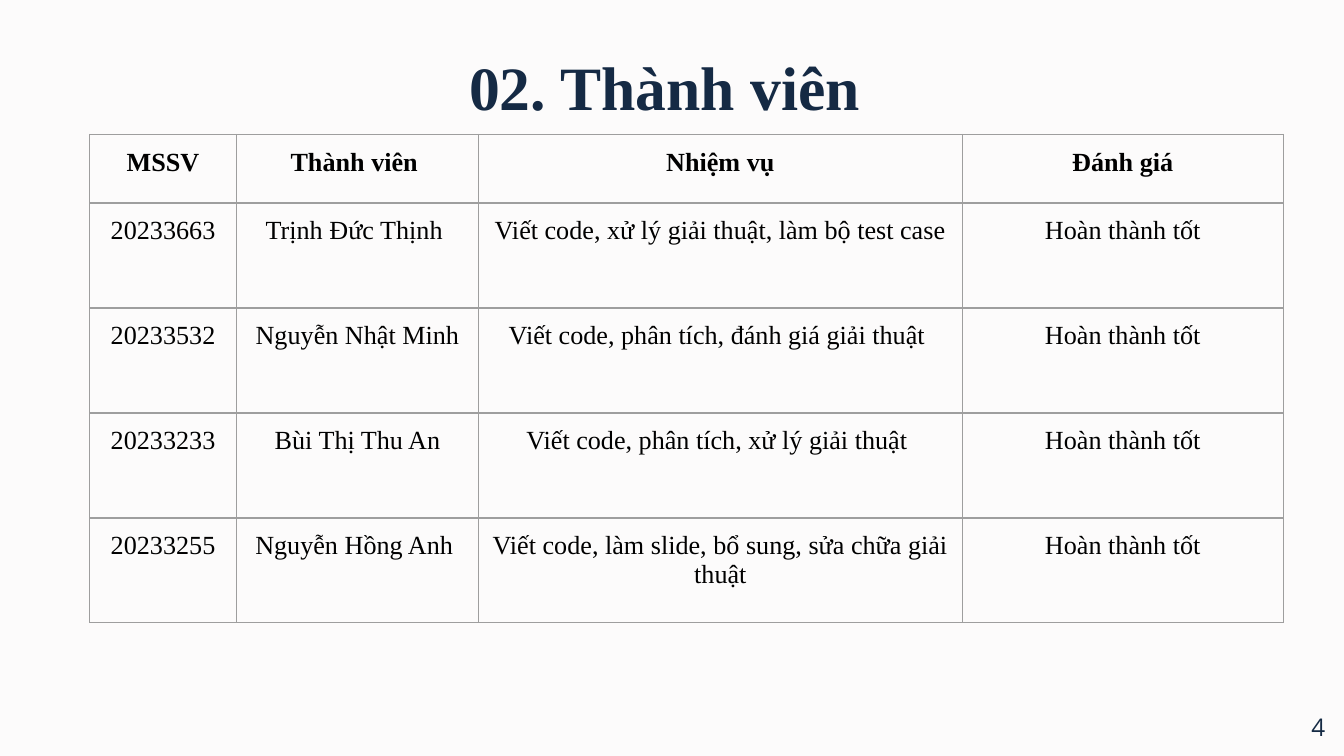
"""Build the team members slide."""
from dataclasses import dataclass

from lxml import etree
from pptx import Presentation
from pptx.dml.color import RGBColor
from pptx.enum import text
from pptx.oxml import ns
from pptx.util import Pt


@dataclass(frozen=True)
class Theme:
    """Colours, fonts and type sizes."""
    paper: str = "FCFBFB"
    navy: str = "152A44"
    ink: str = "000000"
    rule: str = "9E9E9E"
    serif: str = "Times New Roman"
    sans: str = "Open Sans"
    title: float = 33
    body: float = 14
    number: float = 13
    inset: float = 7.2
    rule_width: float = 0.75


THEME = Theme()
COLUMN_WIDTHS = (78.75, 129.6, 259.2, 172)
HEADER_HEIGHT = 36.75
MEMBER_HEIGHT = 56.25
HEADER = ("MSSV", "Thành viên ", "Nhiệm vụ", "Đánh giá")
RATING = "Hoàn thành tốt"
MEMBERS = (
    ("20233663", "Trịnh Đức Thịnh ", "Viết code, xử lý giải thuật, làm bộ test case"),
    ("20233532", "Nguyễn Nhật Minh", "Viết code, phân tích, đánh giá giải thuật "),
    ("20233233", "Bùi Thị Thu An", "Viết code, phân tích, xử lý giải thuật "),
    ("20233255", "Nguyễn Hồng Anh ", "Viết code, làm slide, bổ sung, sửa chữa giải thuật"),
)


def write(frame, words, size, font, colour, bold=False, align=text.PP_ALIGN.CENTER):
    """Put one styled run in the first paragraph of a text frame."""
    para = frame.paragraphs[0]
    para.alignment = align
    span = para.add_run()
    span.text = words
    span.font.size = Pt(size)
    span.font.name = font
    span.font.bold = bold
    span.font.color.rgb = RGBColor.from_string(colour)


def set_insets(holder, inset, top=None):
    """Set the inner margins of a cell or text frame."""
    holder.margin_left = holder.margin_right = holder.margin_bottom = Pt(inset)
    holder.margin_top = Pt(inset if top is None else top)


def add_label(page, left, top, width, height, anchor, top_inset=None):
    """Add a wrapping text box and return its text frame."""
    box = page.shapes.add_textbox(Pt(left), Pt(top), Pt(width), Pt(height))
    frame = box.text_frame
    frame.word_wrap = True
    frame.auto_size = text.MSO_AUTO_SIZE.NONE
    frame.vertical_anchor = anchor
    set_insets(frame, THEME.inset, top_inset)
    return frame


def rule_cell(cell):
    """Draw a thin line on all four sides of a cell."""
    props = cell._tc.get_or_add_tcPr()
    for index, side in enumerate(("lnL", "lnR", "lnT", "lnB")):
        line = etree.Element(ns.qn(f"a:{side}"), w=str(Pt(THEME.rule_width)))
        fill = etree.SubElement(line, ns.qn("a:solidFill"))
        etree.SubElement(fill, ns.qn("a:srgbClr"), val=THEME.rule)
        props.insert(index, line)


def add_member_table(page, left, top):
    """Add the table of members, tasks and ratings."""
    rows = [HEADER] + [(*member, RATING) for member in MEMBERS]
    heights = [HEADER_HEIGHT] + [MEMBER_HEIGHT] * len(MEMBERS)
    table = page.shapes.add_table(
        len(rows), len(HEADER), Pt(left), Pt(top),
        Pt(sum(COLUMN_WIDTHS)), Pt(sum(heights))).table
    table.first_row = table.horz_banding = False
    for column, width in zip(table.columns, COLUMN_WIDTHS):
        column.width = Pt(width)
    for row, height, entries in zip(table.rows, heights, rows):
        row.height = Pt(height)
        for cell, words in zip(row.cells, entries):
            set_insets(cell, THEME.inset)
            rule_cell(cell)
            cell.fill.background()
            write(cell.text_frame, words, THEME.body, THEME.serif, THEME.ink,
                  bold=entries is HEADER)


def main():
    """Build and save the deck."""
    deck = Presentation()
    deck.slide_width, deck.slide_height = Pt(720), Pt(405)
    page = deck.slides.add_slide(deck.slide_layouts[6])
    page.background.fill.solid()
    page.background.fill.fore_color.rgb = RGBColor.from_string(THEME.paper)

    title = add_label(page, 56.7, 16, 607, 45, text.MSO_ANCHOR.TOP, top_inset=10)
    write(title, "02. Thành viên ", THEME.title, THEME.serif, THEME.navy, bold=True)
    add_member_table(page, 48, 72)
    number = add_label(page, 674, 373.7, 43, 31, text.MSO_ANCHOR.MIDDLE)
    write(number, "4", THEME.number, THEME.sans, THEME.navy, align=text.PP_ALIGN.RIGHT)
    deck.save("out.pptx")


if __name__ == "__main__":
    main()
